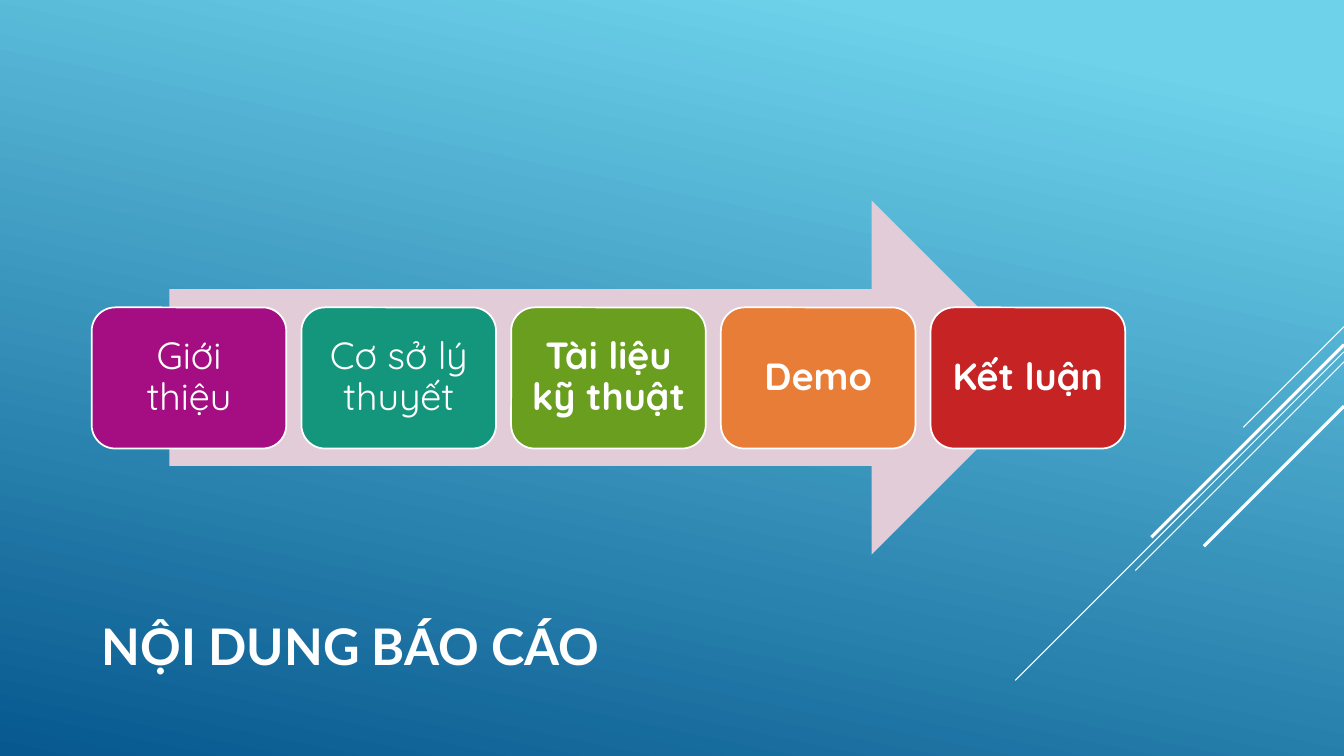
"""Build the report agenda slide: five steps along a wide arrow."""
from lxml import etree
from pptx import Presentation
from pptx.dml.color import RGBColor
from pptx.enum.shapes import MSO_CONNECTOR, MSO_SHAPE
from pptx.enum.text import MSO_ANCHOR, MSO_AUTO_SIZE, PP_ALIGN
from pptx.oxml.ns import qn
from pptx.util import Inches, Pt

STRAIGHT = MSO_CONNECTOR.STRAIGHT
RIGHT_ARROW, ROUNDED = MSO_SHAPE.RIGHT_ARROW, MSO_SHAPE.ROUNDED_RECTANGLE
MIDDLE, NO_AUTOFIT = MSO_ANCHOR.MIDDLE, MSO_AUTO_SIZE.NONE
LEFT, CENTER = PP_ALIGN.LEFT, PP_ALIGN.CENTER

COLORS = {
    "white": "FFFFFF",
    "sky": "6ED2EB",
    "deep": "06588E",
    "arrow": "E1CCD8",
    "purple": "A50E82",
    "teal": "14967C",
    "green": "6A9E1F",
    "orange": "E87D37",
    "red": "C62324",
}
PAGE_WIDTH = 13.33


def color(name):
    return RGBColor.from_string(COLORS[name])


def style_text(frame, text, font_name, size, bold, alignment):
    frame.text = text
    frame.word_wrap = True
    frame.auto_size = NO_AUTOFIT
    frame.vertical_anchor = MIDDLE
    para = frame.paragraphs[0]
    para.alignment = alignment
    para.line_spacing = 0.9
    para.font.name = font_name
    para.font.size = Pt(size)
    para.font.bold = bold
    para.font.color.rgb = color("white")


deck = Presentation()
deck.slide_width, deck.slide_height = Inches(PAGE_WIDTH), Inches(7.5)
page = deck.slides.add_slide(deck.slide_layouts[5])

background = page.background.fill
background.gradient()
background.gradient_angle = 258
for stop, (name, position) in zip(background.gradient_stops, [("sky", 0.1), ("deep", 1)]):
    stop.color.rgb = color(name)
    stop.position = position

# start height on the right edge, diagonal run, line width
for top, run, width in [
    (3.24, 1.0, 0.75),
    (3.49, 3.26, 0.75),
    (3.59, 2.07, 0.75),
    (3.42, 1.91, 2.25),
    (4.03, 1.39, 2.25),
]:
    streak = page.shapes.add_connector(
        STRAIGHT, Inches(PAGE_WIDTH), Inches(top), Inches(PAGE_WIDTH - run), Inches(top + run)
    )
    streak.line.color.rgb = color("white")
    streak.line.width = Pt(width)
    etree.SubElement(streak.line._get_or_add_ln().getparent(), qn("a:effectLst"))

title = page.shapes.title
title.left, title.top = Inches(0.91), Inches(6.03)
title.width, title.height = Inches(9.33), Inches(0.83)
style_text(title.text_frame, "NỘI DUNG BÁO CÁO", "Lato", 36, True, LEFT)

arrow = page.shapes.add_shape(RIGHT_ARROW, Inches(1.68), Inches(1.99), Inches(8.72), Inches(3.51))
arrow.shadow.inherit = False
arrow.fill.solid()
arrow.fill.fore_color.rgb = color("arrow")
arrow.line.fill.background()

steps = [
    ("Giới thiệu", "purple", False),
    ("Cơ sở lý thuyết", "teal", False),
    ("Tài liệu kỹ thuật", "green", True),
    ("Demo", "orange", True),
    ("Kết luận", "red", True),
]
for index, (label, fill_name, bold) in enumerate(steps):
    box = page.shapes.add_shape(
        ROUNDED, Inches(0.91 + 2.08 * index), Inches(3.05), Inches(1.93), Inches(1.4)
    )
    box.shadow.inherit = False
    box.fill.solid()
    box.fill.fore_color.rgb = color(fill_name)
    box.line.color.rgb = color("white")
    box.line.width = Pt(1.25)
    frame = box.text_frame
    frame.margin_left = frame.margin_right = Inches(0.11)
    frame.margin_top = frame.margin_bottom = Inches(0.11)
    style_text(frame, label, "Quicksand", 27, bold, CENTER)

deck.save("out.pptx")
